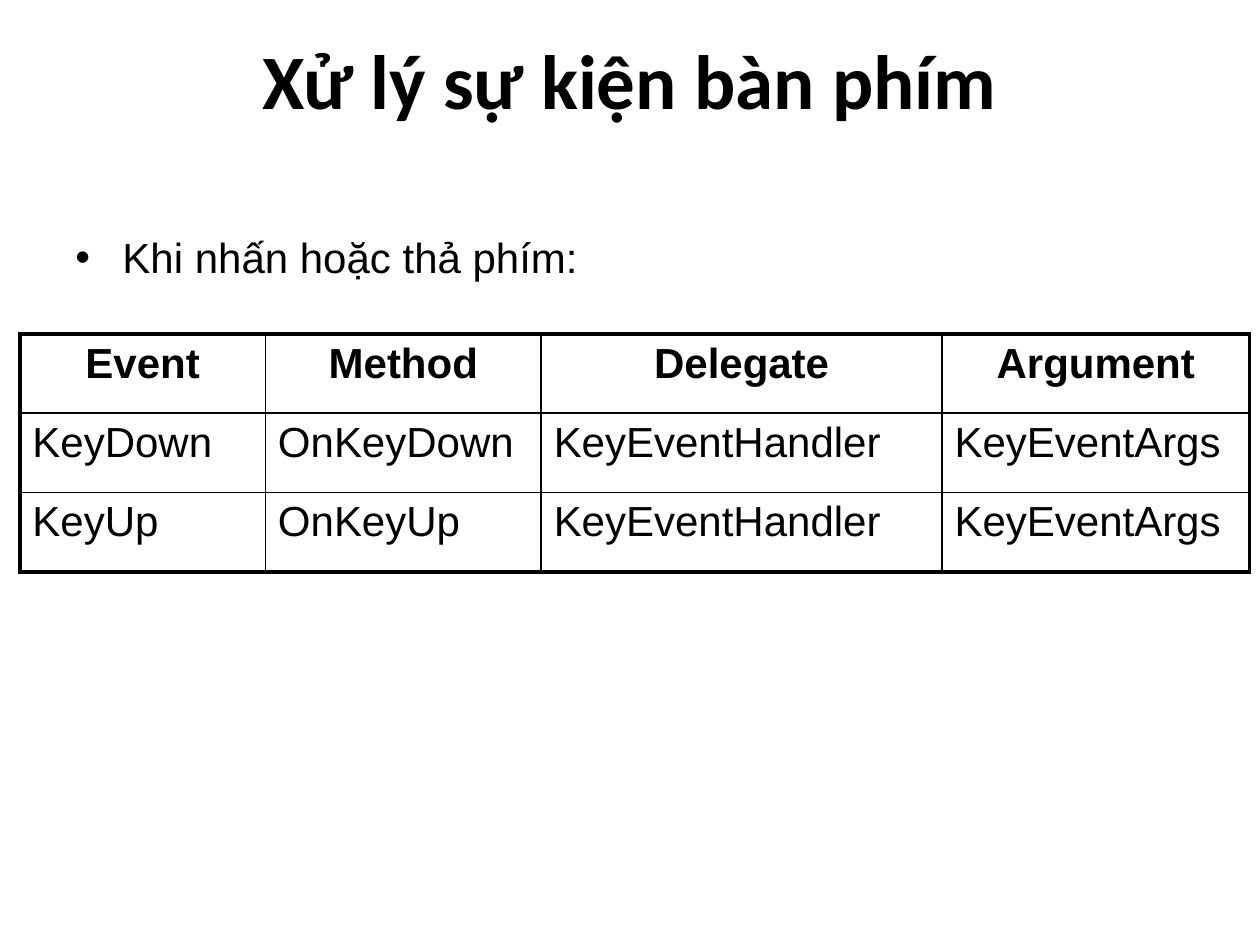
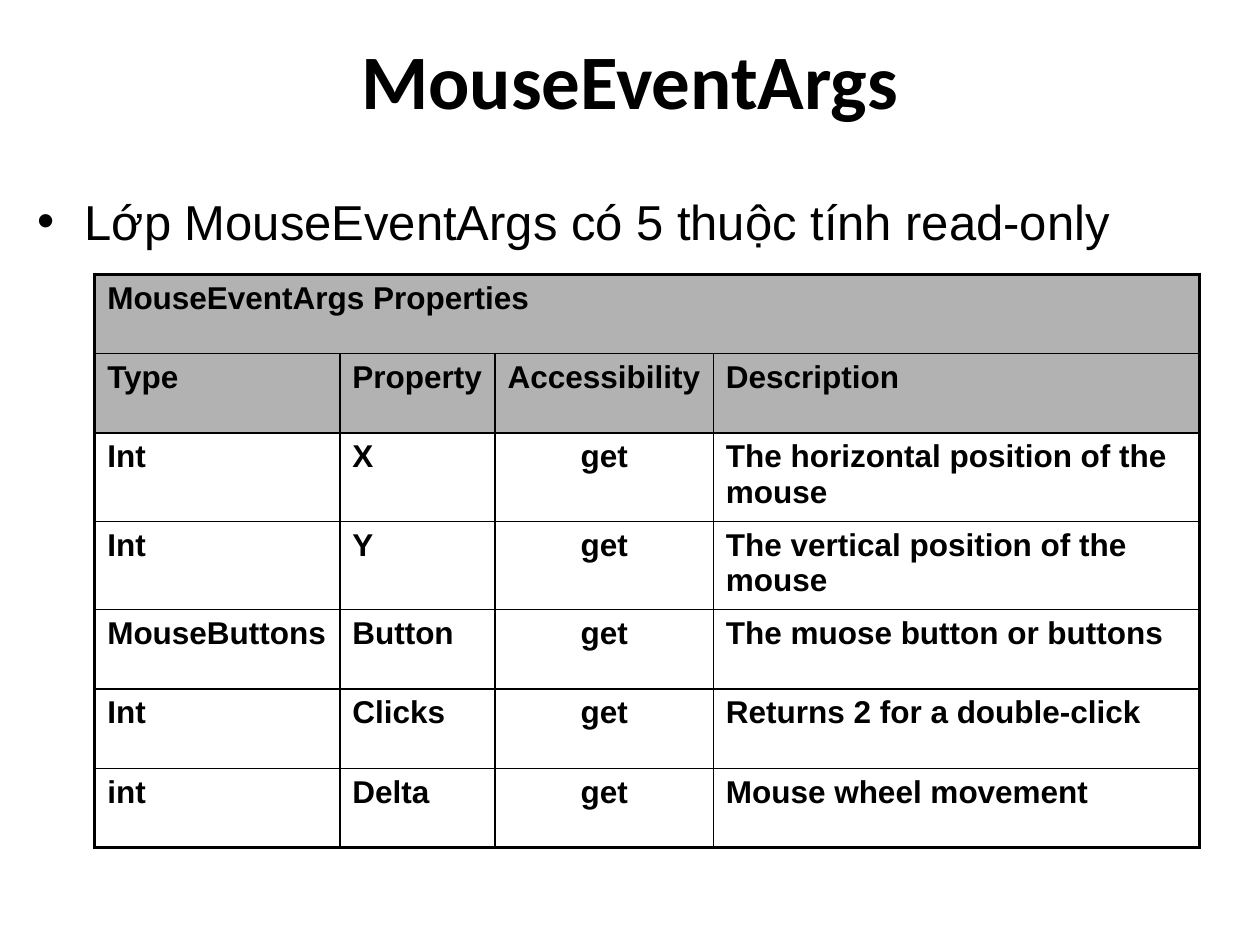
from lxml import etree
from pptx import Presentation
from pptx.dml.color import RGBColor
from pptx.enum.text import MSO_ANCHOR, PP_ALIGN
from pptx.oxml.ns import qn
from pptx.util import Cm, Pt

LEFT, CENTER, JUSTIFY = PP_ALIGN.LEFT, PP_ALIGN.CENTER, PP_ALIGN.JUSTIFY
MIDDLE = MSO_ANCHOR.MIDDLE
TITLE_ONLY = 5

COLORS = {"ink": "000000", "header": "B2B2B2"}
TITLE_FONT, BODY_FONT = "Calibri", "Arial"
OUTER_LINE, INNER_LINE = Pt(2.25), Pt(1)

# Boxes are left, top, width, height in centimetres
TITLE_BOX = (1.27, 0, 22.86, 3.18)

KEY_ROWS = [
    ["Event", "Method", "Delegate", "Argument"],
    ["KeyDown", "OnKeyDown", "KeyEventHandler", "KeyEventArgs"],
    ["KeyUp", "OnKeyUp", "KeyEventHandler", "KeyEventArgs"],
]
MOUSE_ROWS = [
    ["MouseEventArgs Properties", "", "", ""],
    ["Type", "Property", "Accessibility", "Description"],
    ["Int", "X", "get", "The horizontal position of the mouse"],
    ["Int", "Y", "get", "The vertical position of the mouse"],
    ["MouseButtons", "Button", "get", "The muose button or buttons"],
    ["Int", "Clicks", "get", "Returns 2 for a double-click"],
    ["int", "Delta", "get", "Mouse wheel movement"],
]


def add_run(paragraph, text, size, font=BODY_FONT, bold=False):
    run = paragraph.add_run()
    run.text = text
    run.font.name = font
    run.font.size = Pt(size)
    run.font.bold = bold
    run.font.color.rgb = RGBColor.from_string(COLORS["ink"])


def add_titled_slide(presentation, title_text):
    slide = presentation.slides.add_slide(presentation.slide_layouts[TITLE_ONLY])
    title = slide.shapes.title
    title.left, title.top, title.width, title.height = map(Cm, TITLE_BOX)
    title.text_frame.vertical_anchor = MIDDLE
    paragraph = title.text_frame.paragraphs[0]
    paragraph.alignment = CENTER
    add_run(paragraph, title_text, 44, TITLE_FONT, bold=True)
    return slide


def add_bullet_line(slide, box, text, size, line_spacing=1.0):
    text_box = slide.shapes.add_textbox(*map(Cm, box))
    text_box.text_frame.word_wrap = True
    paragraph = text_box.text_frame.paragraphs[0]
    paragraph.alignment = JUSTIFY
    paragraph.line_spacing = line_spacing
    paragraph.space_before = Pt(size / 10)
    add_run(paragraph, text, size)
    # Hanging bullet
    properties = paragraph._p.get_or_add_pPr()
    indent = Cm(0.95)
    properties.set("marL", str(indent))
    properties.set("indent", str(-indent))
    etree.SubElement(properties, qn("a:buFont")).set("typeface", BODY_FONT)
    etree.SubElement(properties, qn("a:buChar")).set("char", "•")


def set_borders(cell, widths):
    """Draw the left, right, top and bottom borders, ahead of the cell's fill."""
    properties = cell._tc.get_or_add_tcPr()
    for position, (side, width) in enumerate(zip("LRTB", widths)):
        line = etree.Element(qn(f"a:ln{side}"), w=str(width))
        fill = etree.SubElement(line, qn("a:solidFill"))
        etree.SubElement(fill, qn("a:srgbClr")).set("val", COLORS["ink"])
        properties.insert(position, line)


def add_grid(slide, left, top, column_widths, row_heights, rows, size,
             bold_rows, shaded_rows=0, centered=lambda row, column: False):
    frame = slide.shapes.add_table(
        len(rows), len(column_widths), Cm(left), Cm(top),
        Cm(sum(column_widths)), Cm(sum(row_heights)))
    table = frame.table
    table.first_row = table.horz_banding = False
    for column, width in zip(table.columns, column_widths):
        column.width = Cm(width)
    for row, height in zip(table.rows, row_heights):
        row.height = Cm(height)

    last_row, last_column = len(rows) - 1, len(column_widths) - 1
    for r, texts in enumerate(rows):
        for c, text in enumerate(texts):
            cell = table.cell(r, c)
            if r < shaded_rows:
                cell.fill.solid()
                cell.fill.fore_color.rgb = RGBColor.from_string(COLORS["header"])
            else:
                cell.fill.background()
            # Heavy frame outside, thin lines inside
            on_edge = (c == 0, c == last_column, r == 0, r == last_row)
            set_borders(cell, [OUTER_LINE if edge else INNER_LINE for edge in on_edge])
            if text:
                paragraph = cell.text_frame.paragraphs[0]
                paragraph.alignment = CENTER if centered(r, c) else LEFT
                add_run(paragraph, text, size, bold=r < bold_rows)
    return table


def build_keyboard_slide(presentation):
    slide = add_titled_slide(presentation, "Xử lý sự kiện bàn phím")
    add_bullet_line(slide, (1.27, 4.45, 22.83, 1.68), "Khi nhấn hoặc thả phím:",
                    24, line_spacing=1.1)
    add_grid(slide, 0.4, 6.73, [4.95, 5.56, 8.08, 6.2], [1.6] * len(KEY_ROWS),
             KEY_ROWS, 24, bold_rows=1, centered=lambda row, column: row == 0)


def build_mouse_slide(presentation):
    slide = add_titled_slide(presentation, "MouseEventArgs")
    add_bullet_line(slide, (0.51, 3.73, 24.21, 1.8),
                    "Lớp MouseEventArgs có 5 thuộc tính read-only", 28)
    row_heights = [1.6, 1.6, 1.65, 1.65, 1.6, 1.6, 1.6]
    table = add_grid(slide, 1.91, 5.53, [4.94, 3.13, 4.4, 9.8], row_heights,
                     MOUSE_ROWS, 18, bold_rows=len(MOUSE_ROWS), shaded_rows=2,
                     centered=lambda row, column: row > 1 and column == 2)
    # Heading across all columns
    heading = table.cell(0, 0)
    heading.merge(table.cell(0, 3))
    heading._tc.tcPr.find(qn("a:lnR")).set("w", str(OUTER_LINE))


def main():
    presentation = Presentation()
    presentation.slide_width, presentation.slide_height = Cm(25.4), Cm(19.05)
    build_keyboard_slide(presentation)
    build_mouse_slide(presentation)
    presentation.save("out.pptx")


if __name__ == "__main__":
    main()
